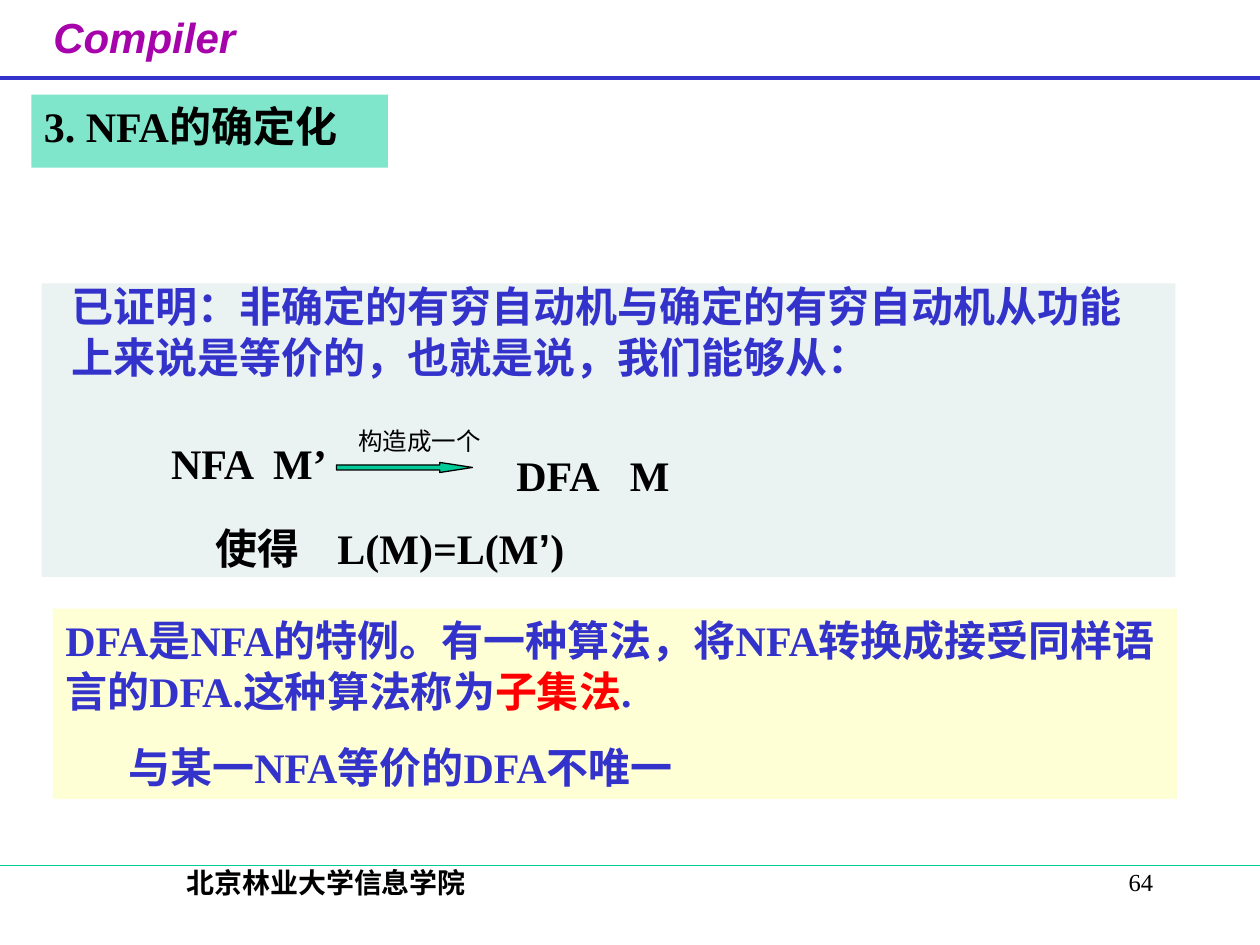
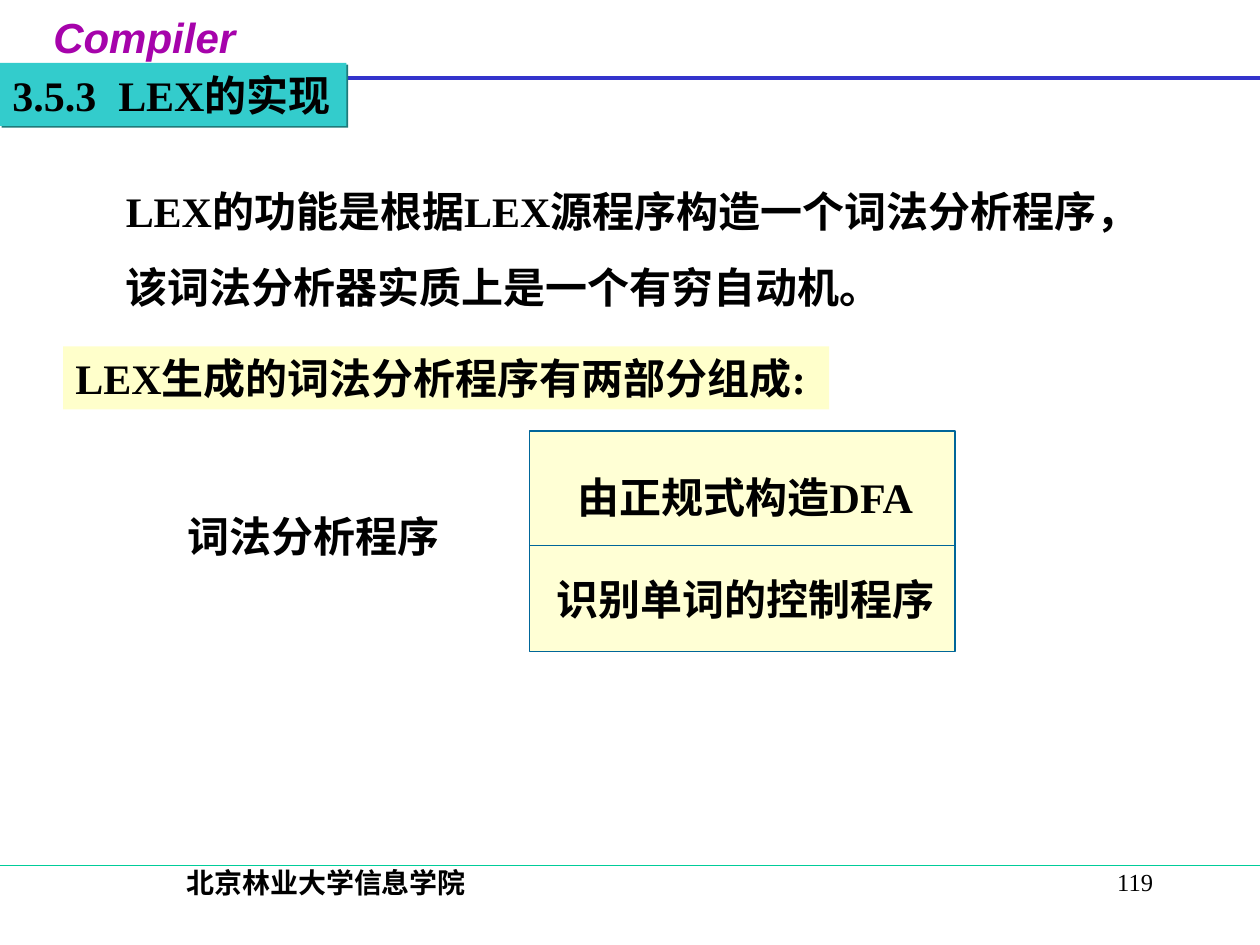
from dataclasses import dataclass

from lxml import etree
from pptx import Presentation
from pptx.dml.color import RGBColor
from pptx.enum.shapes import MSO_CONNECTOR, MSO_SHAPE
from pptx.enum.text import MSO_ANCHOR, PP_ALIGN
from pptx.oxml.ns import qn
from pptx.util import Inches, Pt

RECT, ARROW = MSO_SHAPE.RECTANGLE, MSO_SHAPE.RIGHT_ARROW
STRAIGHT = MSO_CONNECTOR.STRAIGHT
LEFT, CENTER, RIGHT = PP_ALIGN.LEFT, PP_ALIGN.CENTER, PP_ALIGN.RIGHT
TOP, MIDDLE = MSO_ANCHOR.TOP, MSO_ANCHOR.MIDDLE


@dataclass(frozen=True)
class Theme:
    ink: str = "000000"
    blue: str = "3333CC"
    red: str = "FF0000"
    purple: str = "A603AB"
    green: str = "00CC99"
    teal: str = "33CCCC"
    teal_shade: str = "1F7A7A"
    mist: str = "D9E6E6"
    cream: str = "FFFFD5"
    yellow: str = "FFFF99"
    frame: str = "006699"
    serif: str = "Times New Roman"
    sans: str = "Arial"
    body: int = 24
    footer: int = 16
    small: int = 14
    gap: int = 15


T = Theme()
BODY = {"size": T.body, "bold": True, "name": T.serif, "color": T.ink}
BLUE = BODY | {"color": T.blue}
SMALL = BODY | {"size": T.small, "bold": False}


def inches(box):
    return [Inches(round(value, 2)) for value in box]


def within(box, left, top, width, height):
    """Turn a place relative to a region into a place on the slide."""
    return box[0] + left, box[1] + top, width, height


def child(parent, tag, **attributes):
    return etree.SubElement(parent, qn(tag), {k: str(v) for k, v in attributes.items()})


def add_run(paragraph, text, style):
    run = paragraph.add_run()
    run.text = text
    for key, value in style.items():
        if key == "size":
            value = Pt(value)
        if key == "color":
            run.font.color.rgb = RGBColor.from_string(value)
        else:
            setattr(run.font, key, value)
    # Chinese characters are set in the sans face
    child(run._r.get_or_add_rPr(), "a:ea", typeface=T.sans)


def write(shape, paragraphs, style=BODY, align=LEFT, anchor=TOP, wrap=True, tab=None):
    """Each paragraph is a string or a list of (text, style) runs."""
    frame = shape.text_frame
    frame.word_wrap = wrap
    frame.vertical_anchor = anchor
    for index, content in enumerate(paragraphs):
        paragraph = frame.add_paragraph() if index else frame.paragraphs[0]
        if tab:
            tabs = child(paragraph._p.get_or_add_pPr(), "a:tabLst")
            child(tabs, "a:tab", pos=Inches(tab), algn="l")
        paragraph.alignment = align
        if index:
            paragraph.space_before = Pt(T.gap)
        runs = [(content, style)] if isinstance(content, str) else content
        for text, run_style in runs:
            add_run(paragraph, text, run_style)


def add_label(shapes, box, text, **options):
    write(shapes.add_textbox(*inches(box)), [text], **options)


def add_panel(shapes, box, fill, line=None, alpha=None, kind=RECT):
    panel = shapes.add_shape(kind, *inches(box))
    panel.shadow.inherit = False
    panel.fill.solid()
    panel.fill.fore_color.rgb = RGBColor.from_string(fill)
    if alpha:
        color = panel._element.spPr.find(qn("a:solidFill"))[0]
        child(color, "a:alpha", val=alpha * 1000)
    if line:
        panel.line.color.rgb = RGBColor.from_string(line)
        panel.line.width = Pt(0.75)
    else:
        panel.line.fill.background()
    return panel


def add_rule(shapes, left, top, width, color, weight=0.75):
    rule = shapes.add_connector(STRAIGHT, *inches((left, top, left + width, top)))
    rule.line.color.rgb = RGBColor.from_string(color)
    rule.line.width = Pt(weight)
    child(rule._element.spPr, "a:effectLst")


def new_slide(deck, number):
    """Blank slide with the shared header and footer."""
    slide = deck.slides.add_slide(deck.slide_layouts[6])
    shapes = slide.shapes
    # Header
    course = BODY | {"name": T.sans, "color": T.purple, "italic": True}
    add_label(shapes, (0.19, 0.04, 1.91, 0.62), "Compiler",
              style=course, align=CENTER, wrap=False)
    add_rule(shapes, 0, 0.62, 10, T.blue, 2.25)
    # Footer
    add_rule(shapes, 0, 6.87, 10, T.green)
    add_label(shapes, (0.52, 6.82, 4.14, 0.5), "北京林业大学信息学院",
              style=BODY | {"size": T.footer}, align=CENTER)
    add_label(shapes, (7.17, 6.83, 2.08, 0.5), str(number), style=SMALL, align=RIGHT)
    return shapes


def equivalence_region(shapes, box):
    """Statement that an NFA can be turned into an equal DFA."""
    add_panel(shapes, box, T.mist, alpha=50)
    add_label(shapes, within(box, 0.14, -0.07, 8.62, 0.9),
              "已证明：非确定的有穷自动机与确定的有穷自动机从功能上来说是等价的，"
              "也就是说，我们能够从：", style=BLUE, anchor=MIDDLE)
    # Construction from NFA to DFA
    for left, top, width, tab, text in (
            (0.93, 1.17, 1.6, 0.81, "NFA\tM’"),
            (3.67, 1.27, 1.75, 0.9, "DFA\tM"),
            (1.28, 1.85, 3.6, 0.97, "使得\tL(M)=L(M’)")):
        add_label(shapes, within(box, left, top, width, 0.5), text,
                  anchor=MIDDLE, tab=tab)
    arrow = add_panel(shapes, within(box, 2.34, 1.42, 1.08, 0.08),
                      T.green, line=T.ink, kind=ARROW)
    arrow.adjustments[0], arrow.adjustments[1] = 0.5, 3.25
    add_label(shapes, within(box, 2.3, 1.08, 1.4, 0.34), "构造成一个",
              style=SMALL, align=CENTER, anchor=MIDDLE)


def subset_region(shapes, box):
    """Note naming the subset method."""
    note = add_panel(shapes, box, T.cream)
    write(note, [
        [("DFA是NFA的特例。有一种算法，将NFA转换成接受同样语言的DFA.这种算法称为", BLUE),
         ("子集法", BLUE | {"color": T.red}), (".", BLUE)],
        "与某一NFA等价的DFA不唯一"], style=BLUE)
    remark = note.text_frame.paragraphs[1]
    remark.level = 1
    remark._p.get_or_add_pPr().set("marL", str(Inches(0.5)))


def determinization_slide(deck):
    shapes = new_slide(deck, 64)
    equivalence_region(shapes, (0.33, 2.25, 9, 2.33))
    subset_region(shapes, (0.42, 4.83, 8.92, 1.51))
    heading = add_panel(shapes, (0.25, 0.75, 2.83, 0.58), T.green, alpha=50)
    write(heading, ["3. NFA的确定化"], wrap=False)


def section_heading(shapes, box):
    """Teal heading with a hard shadow."""
    heading = add_panel(shapes, box, T.teal)
    write(heading, ["3.5.3\tLEX的实现"], wrap=False, tab=0.84)
    effects = heading._element.spPr.find(qn("a:effectLst"))
    shadow = child(effects, "a:outerShdw", dist=Pt(1.4), dir=45 * 60000,
                   algn="ctr", rotWithShape=0)
    child(shadow, "a:srgbClr", val=T.teal_shade)


def analyzer_region(shapes, box):
    """The analyzer and the two parts it is made of."""
    group = shapes.add_group_shape().shapes
    add_label(group, within(box, 0, 0.58, 2.2, 0.5), "词法分析程序",
              align=CENTER, anchor=MIDDLE, wrap=False)
    frame = within(box, 2.81, 0, 3.38, 1.75)
    add_panel(group, frame, T.cream, line=T.frame)
    add_rule(group, frame[0], frame[1] + 0.91, frame[2], T.frame)
    for top, part in ((0.27, "由正规式构造DFA"), (1.08, "识别单词的控制程序")):
        add_label(group, within(frame, 0.09, top, 3.25, 0.5), part,
                  align=CENTER, anchor=MIDDLE)


def lex_slide(deck):
    shapes = new_slide(deck, 119)
    section_heading(shapes, (0, 0.5, 2.75, 0.5))
    # What LEX does
    purpose = shapes.add_textbox(*inches((0.9, 1.42, 8.47, 1.11)))
    write(purpose, ["LEX的功能是根据LEX源程序构造一个词法分析程序，",
                    "该词法分析器实质上是一个有穷自动机。"], wrap=False)
    # What it generates
    lead_in = add_panel(shapes, (0.5, 2.75, 6.08, 0.5), T.yellow, alpha=50)
    write(lead_in, ["LEX生成的词法分析程序有两部分组成:"], wrap=False)
    analyzer_region(shapes, (1.39, 3.42, 6.19, 1.75))


def main():
    deck = Presentation()
    deck.slide_width, deck.slide_height = Inches(10), Inches(7.5)
    determinization_slide(deck)
    lex_slide(deck)
    deck.save("out.pptx")


if __name__ == "__main__":
    main()
